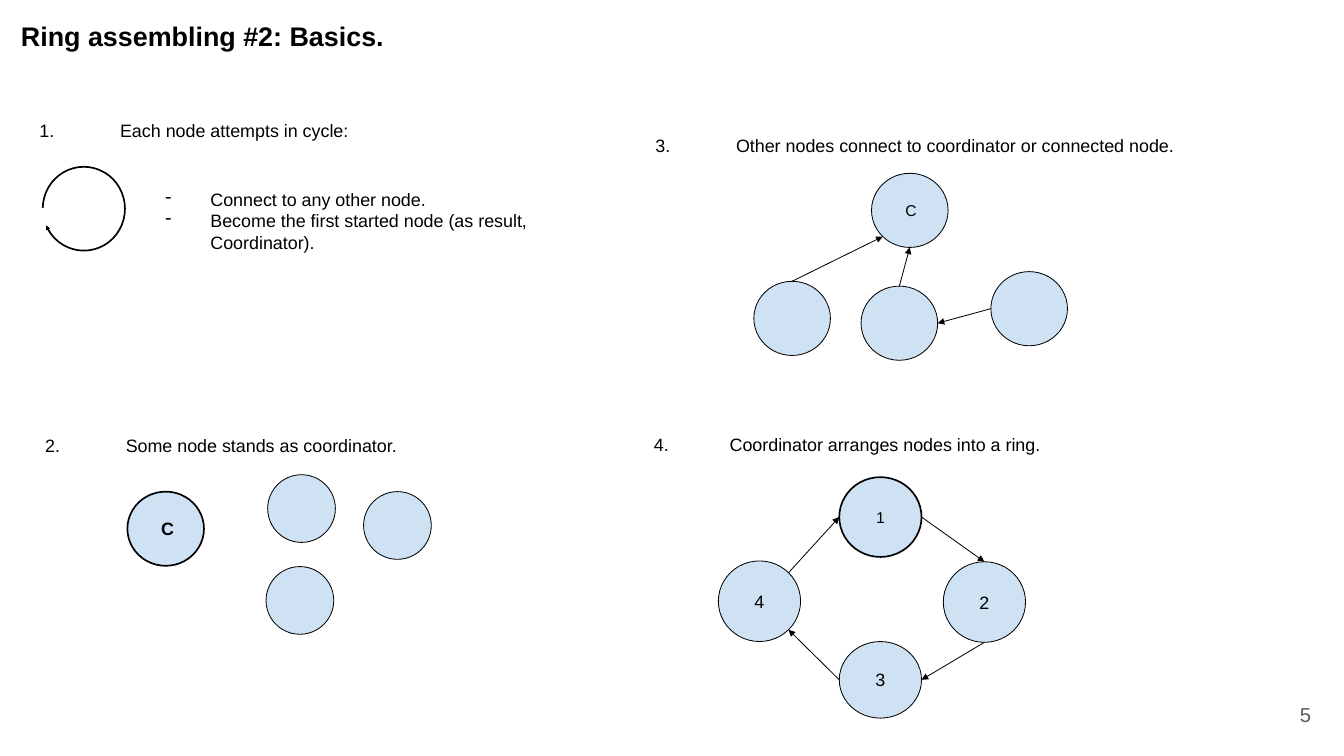
"""Build the slide on the basics of assembling a ring of nodes."""
import math
from lxml import etree
from pptx import Presentation
from pptx.dml.color import RGBColor
from pptx.enum import shapes, text
from pptx.oxml import ns
from pptx.util import Inches, Pt

COLORS = {"ink": "000000", "node": "CFE2F3", "page": "595959"}
LEFT, CENTER, RIGHT = text.PP_ALIGN.LEFT, text.PP_ALIGN.CENTER, text.PP_ALIGN.RIGHT
TOP, MIDDLE = text.MSO_ANCHOR.TOP, text.MSO_ANCHOR.MIDDLE
DIRECTIONS = {"right": 0, "bottom right": 45, "bottom": 90, "bottom left": 135,
              "left": 180, "top": 270, "top right": 315}


def write(shape, lines, size, inset=0.18, bold=False, color="ink", align=LEFT, anchor=TOP):
    frame = shape.text_frame
    frame.word_wrap = True
    frame.vertical_anchor = anchor
    frame.margin_left = frame.margin_right = Inches(inset)
    frame.margin_top = frame.margin_bottom = Inches(inset)
    for index, line in enumerate(lines):
        paragraph = frame.add_paragraph() if index else frame.paragraphs[0]
        paragraph.alignment = align
        run = paragraph.add_run()
        run.text = line
        run.font.name = "Arial"
        run.font.size = Pt(size)
        run.font.bold = bold
        run.font.color.rgb = RGBColor.from_string(COLORS[color])


def outline(shape, width, arrow=None):
    shape.line.color.rgb = RGBColor.from_string(COLORS["ink"])
    shape.line.width = Pt(width)
    if arrow:
        line = shape.line._get_or_add_ln()
        etree.SubElement(line, ns.qn("a:tailEnd"), type="triangle", w=arrow, len=arrow)


presentation = Presentation()
presentation.slide_width, presentation.slide_height = Inches(16.67), Inches(9.38)
slide = presentation.slides.add_slide(presentation.slide_layouts[6])

title = slide.shapes.add_textbox(Inches(0.08), Inches(0.06), Inches(15.53), Inches(0.76))
write(title, ["Ring assembling #2: Basics."], 24, bold=True)

steps = [
    (0.21, 1.35, 7.05, 0.28, "1.\tEach node attempts in cycle:"),
    (0.38, 5.26, 5.32, 0.18, "2.\tSome node stands as coordinator."),
    (7.95, 1.54, 6.9, 0.18, "3.\tOther nodes connect to coordinator or connected node."),
    (7.87, 5.25, 5.32, 0.18, " 4.\tCoordinator arranges nodes into a ring."),
]
for left, top, width, inset, heading in steps:
    step = slide.shapes.add_textbox(Inches(left), Inches(top), Inches(width),
                                    Inches(2 * inset + 0.29))
    write(step, [heading], 16, inset)
    properties = step.text_frame.paragraphs[0]._p.get_or_add_pPr()
    tabs = etree.SubElement(properties, ns.qn("a:tabLst"))
    etree.SubElement(tabs, ns.qn("a:tab"), pos=str(Inches(1)), algn="l")

attempts = slide.shapes.add_textbox(Inches(1.44), Inches(2.06), Inches(6.4), Inches(1.13))
write(attempts, ["Connect to any other node.",
                 "Become the first started node (as result, Coordinator)."], 16, 0.28)
attempts.text_frame.margin_right = Inches(0.8)
for paragraph in attempts.text_frame.paragraphs:
    properties = paragraph._p.get_or_add_pPr()
    properties.set("marL", str(Inches(0.89)))
    properties.set("indent", str(Inches(-0.56)))
    etree.SubElement(properties, ns.qn("a:buChar"), char="-")

cycle = slide.shapes.add_shape(shapes.MSO_SHAPE.ARC, Inches(0.53), Inches(2.07),
                               Inches(1.02), Inches(1.04))
cycle.shadow.inherit = False
cycle.adjustments[0], cycle.adjustments[1] = 108.65, 93.71
cycle.fill.background()
outline(cycle, 1.5, arrow="sm")

nodes = {
    "coordinator": (1.58, 6.1, 0.95, 0.92, 1.5, "C", 16),
    "idle top": (3.32, 5.89, 0.84, 0.84, 0.75, "", 16),
    "idle right": (4.51, 6.1, 0.84, 0.84, 0.75, "", 16),
    "idle bottom": (3.3, 7.03, 0.84, 0.84, 0.75, "", 16),
    "hub": (10.81, 2.15, 0.95, 0.92, 0.75, "C", 14),
    "joining left": (9.35, 3.49, 0.95, 0.92, 0.75, "", 16),
    "joining middle": (10.68, 3.55, 0.95, 0.92, 0.75, "", 16),
    "joining right": (12.29, 3.37, 0.95, 0.92, 0.75, "", 16),
    "ring 1": (10.41, 5.92, 1.02, 0.99, 1.5, "1", 14),
    "ring 2": (11.7, 6.97, 1.02, 1, 0.75, "2", 16),
    "ring 3": (10.41, 7.96, 1.02, 0.95, 0.75, "3", 16),
    "ring 4": (8.91, 6.96, 1.02, 1, 0.75, "4", 16),
}
for name, (left, top, width, height, line_width, label, size) in nodes.items():
    node = slide.shapes.add_shape(shapes.MSO_SHAPE.OVAL, Inches(left), Inches(top),
                                  Inches(width), Inches(height))
    node.shadow.inherit = False
    node.fill.solid()
    node.fill.fore_color.rgb = RGBColor.from_string(COLORS["node"])
    outline(node, line_width)
    if label:
        first = name == "coordinator"
        write(node, [label], size, 0.28, bold=first, align=LEFT if first else CENTER, anchor=MIDDLE)

links = [
    ("joining left", "top", "hub", "bottom left"),
    ("joining middle", "top", "hub", "bottom"),
    ("joining right", "left", "joining middle", "right"),
    ("ring 1", "right", "ring 2", "top"),
    ("ring 2", "bottom", "ring 3", "right"),
    ("ring 3", "left", "ring 4", "bottom right"),
    ("ring 4", "top right", "ring 1", "left"),
]
for source, source_side, target, target_side in links:
    ends = []
    for name, side in ((source, source_side), (target, target_side)):
        left, top, width, height = nodes[name][:4]
        angle = math.radians(DIRECTIONS[side])
        ends += [Inches(left + width / 2 * (1 + math.cos(angle))),
                 Inches(top + height / 2 * (1 + math.sin(angle)))]
    link = slide.shapes.add_connector(shapes.MSO_CONNECTOR.STRAIGHT, *ends)
    outline(link, 0.75, arrow="med")
    etree.SubElement(link._element.spPr, ns.qn("a:effectLst"))

page = slide.shapes.add_textbox(Inches(15.44), Inches(8.5), Inches(1), Inches(0.72))
write(page, ["5"], 18, color="page", align=RIGHT, anchor=MIDDLE)

presentation.save("out.pptx")
